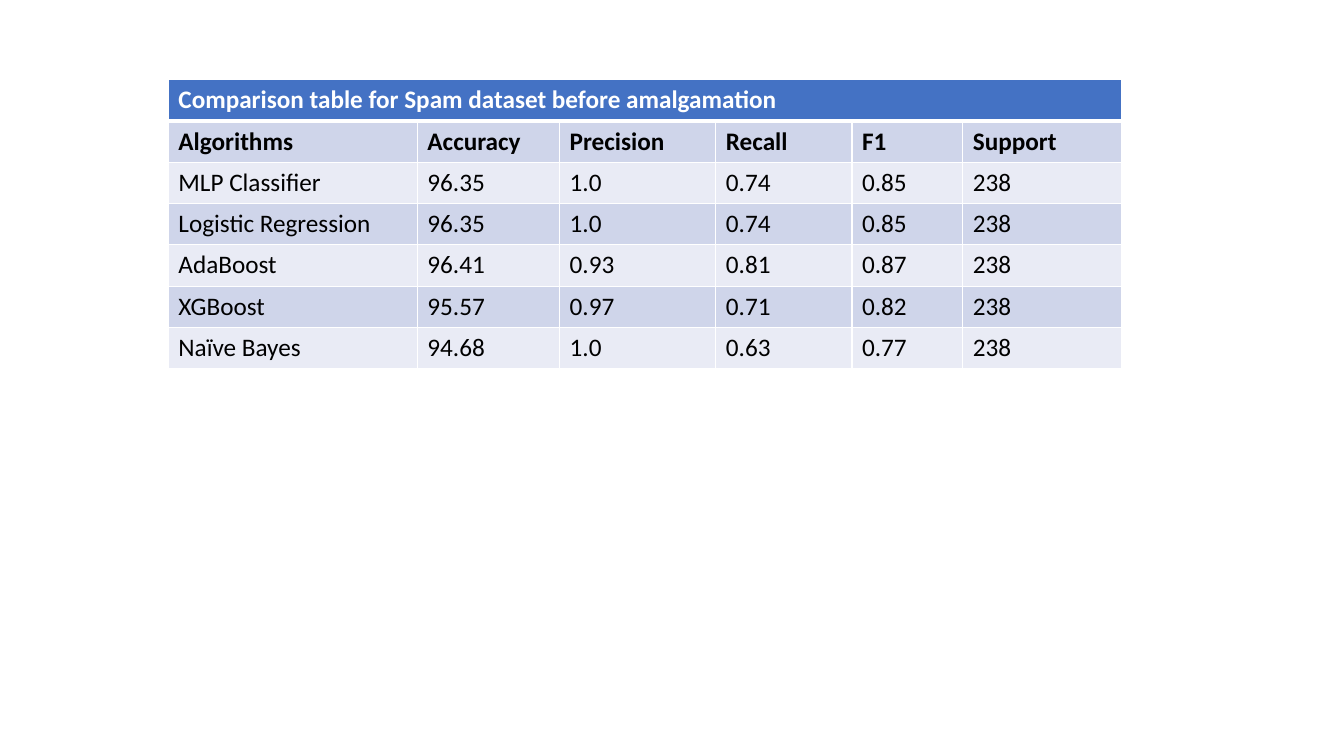
from lxml.etree import SubElement
from pptx import Presentation
from pptx.dml.color import RGBColor
from pptx.oxml.ns import qn
from pptx.util import Inches, Pt

TITLE = "Comparison table for Spam dataset before amalgamation"
HEADINGS = ("Algorithms", "Accuracy", "Precision", "Recall", "F1", "Support")
RESULTS = [
    ("MLP Classifier", "96.35", "1.0", "0.74", "0.85", "238"),
    ("Logistic Regression", "96.35", "1.0", "0.74", "0.85", "238"),
    ("AdaBoost", "96.41", "0.93", "0.81", "0.87", "238"),
    ("XGBoost", "95.57", "0.97", "0.71", "0.82", "238"),
    ("Naïve Bayes", "94.68", "1.0", "0.63", "0.77", "238"),
]
COLORS = {
    "title": "4472C4",
    "dark band": "CFD5EA",
    "light band": "E9EBF5",
    "border": "FFFFFF",
    "title text": "FFFFFF",
    "text": "000000",
}
COLUMN_WIDTHS = (2.47, 1.41, 1.55, 1.35, 1.1, 1.57)
ROW_HEIGHT = 0.41
LEFT, TOP = 1.67, 0.79


def color(name):
    return RGBColor.from_string(COLORS[name])


def add_borders(cell, widths):
    properties = cell._tc.get_or_add_tcPr()
    for side, width in widths.items():
        line = SubElement(properties, qn(f"a:ln{side}"), w=str(Pt(width)))
        fill = SubElement(line, qn("a:solidFill"))
        SubElement(fill, qn("a:srgbClr"), val=COLORS["border"])


def format_cell(cell, text, row):
    add_borders(cell, {
        "L": 1,
        "R": 1,
        "T": 3 if row == 1 else 1,
        "B": 3 if row == 0 else 1,
    })
    band = "title" if row == 0 else "dark band" if row % 2 else "light band"
    cell.fill.solid()
    cell.fill.fore_color.rgb = color(band)
    if not text:
        return
    span = cell.text_frame.paragraphs[0].add_run()
    span.text = text
    for name, value in {"name": "Calibri", "size": Pt(18), "bold": row < 2}.items():
        setattr(span.font, name, value)
    span.font.color.rgb = color("text" if row else "title text")


deck = Presentation()
deck.slide_width, deck.slide_height = Inches(13.33), Inches(7.5)
page = deck.slides.add_slide(deck.slide_layouts[6])

title_row = (TITLE,) + ("",) * (len(HEADINGS) - 1)
rows = [title_row, HEADINGS, *RESULTS]
frame = page.shapes.add_table(
    len(rows), len(HEADINGS), Inches(LEFT), Inches(TOP),
    Inches(sum(COLUMN_WIDTHS)), Inches(ROW_HEIGHT * len(rows)),
)
table = frame.table
for column, width in zip(table.columns, COLUMN_WIDTHS):
    column.width = Inches(width)
for table_row in table.rows:
    table_row.height = Inches(ROW_HEIGHT)
for row, texts in enumerate(rows):
    for column, text in enumerate(texts):
        format_cell(table.cell(row, column), text, row)
table.cell(0, 0).merge(table.cell(0, len(HEADINGS) - 1))

deck.save("out.pptx")
